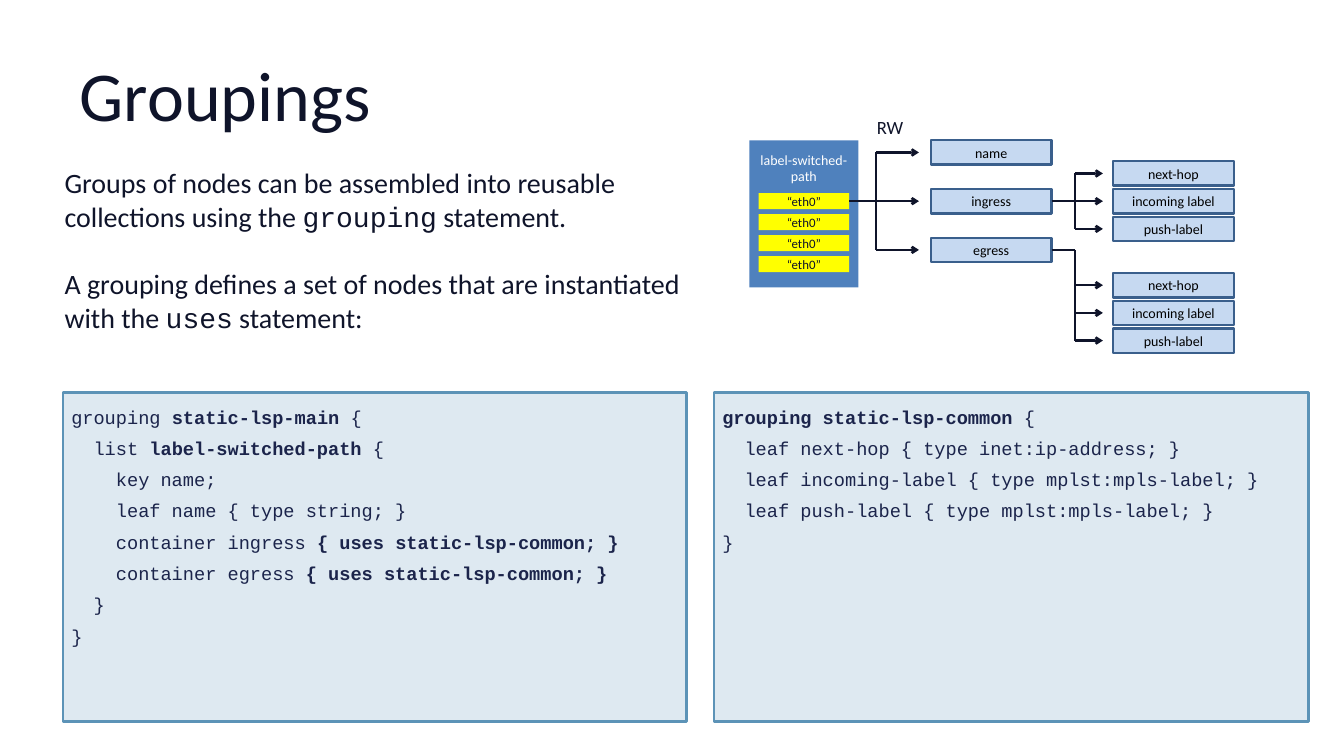
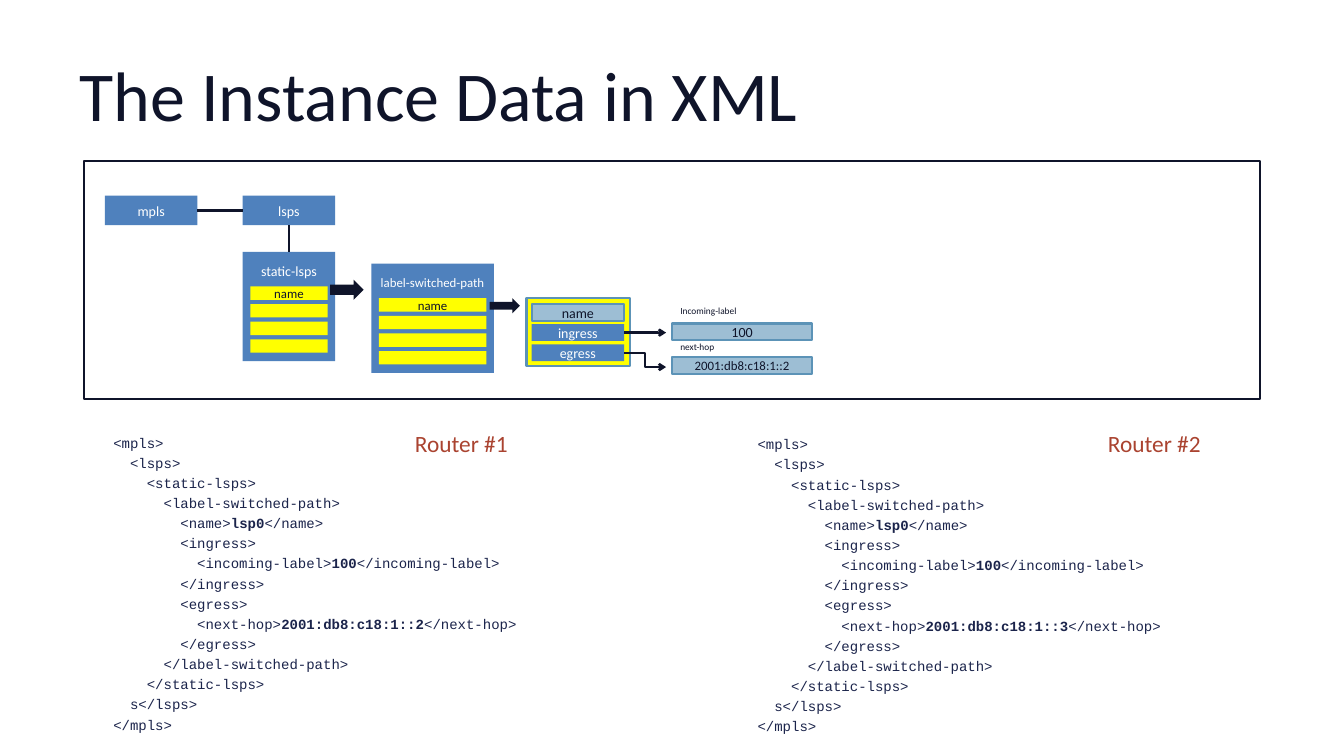
import pptx
import pptx.util
import pptx.dml.color
import pptx.enum.shapes
import pptx.enum.text
import pptx.oxml
import pptx.oxml.ns

Inches = pptx.util.Inches
SHAPE = pptx.enum.shapes.MSO_SHAPE
CONNECTOR = pptx.enum.shapes.MSO_CONNECTOR
ALIGN = pptx.enum.text.PP_ALIGN
ANCHOR = pptx.enum.text.MSO_ANCHOR

INK = "0F142A"
CODE_INK = "1B244B"
WHITE = "FFFFFF"
BLACK = "000000"
BLUE = "4F81BD"
YELLOW = "FFFF00"
PALE_BLUE = "C6D9F1"
LEAF_EDGE = "3A5F8C"
CODE_FILL = "DEE9F1"
FIELD_FILL = "9DBED4"
FIELD_EDGE = "5C93B7"
ROUTER_RED = "AA4330"
SANS = "Calibri"
MONO = "Courier New"

MAIN_GROUPING = """grouping *static-lsp-main *{
  list *label-switched-path *{
    key name;
    leaf name { type string; }
    container ingress *{ uses static-lsp-common; }*
    container egress *{ uses static-lsp-common; }*
  }
}"""

COMMON_GROUPING = """*grouping static-lsp-common *{
  leaf next-hop { type inet:ip-address; }
  leaf incoming-label { type mplst:mpls-label; }
  leaf push-label { type mplst:mpls-label; }
}"""

INSTANCE_XML = """<mpls>
  <lsps>
    <static-lsps>
      <label-switched-path>
        <name>*lsp0*</name>
        <ingress>
          <incoming-label>*100*</incoming-label>
        </ingress>
        <egress>
          <next-hop>*{next_hop}*</next-hop>
        </egress>
      </label-switched-path>
    </static-lsps>
  s</lsps>
</mpls>"""

INTRO = (
    "Groups of nodes can be assembled into reusable collections using the "
    "*grouping* statement.\n"
    "A grouping defines a set of nodes that are instantiated with the "
    "*uses* statement:"
)


def rgb(value):
    return pptx.dml.color.RGBColor.from_string(value)


def write_text(frame, text, size, color, font=SANS, marked_font=None, align=ALIGN.LEFT,
               anchor=ANCHOR.TOP, spacing=None, gap=0, margins=(0.1, 0.05), wrap=True):
    frame.word_wrap = wrap
    frame.auto_size = pptx.enum.text.MSO_AUTO_SIZE.NONE
    frame.vertical_anchor = anchor
    frame.margin_left = frame.margin_right = Inches(margins[0])
    frame.margin_top = frame.margin_bottom = Inches(margins[1])
    for index, line_text in enumerate(text.split("\n")):
        paragraph = frame.add_paragraph() if index else frame.paragraphs[0]
        paragraph.alignment = align
        if spacing:
            paragraph.line_spacing = spacing
        if index and gap:
            paragraph.space_before = pptx.util.Pt(gap)
        for part, piece in enumerate(line_text.split("*")):
            if not piece:
                continue
            marked = part % 2 == 1
            run = paragraph.add_run()
            run.text = piece
            run.font.size = pptx.util.Pt(size)
            run.font.color.rgb = rgb(color)
            run.font.name = marked_font if marked and marked_font else font
            run.font.bold = marked and not marked_font


def add_label(slide, box, text, size, color=INK, **style):
    label = slide.shapes.add_textbox(*map(Inches, box))
    write_text(label.text_frame, text, size, color, **style)


def add_block(slide, box, fill, edge=None, edge_width=2, kind=SHAPE.RECTANGLE):
    block = slide.shapes.add_shape(kind, *map(Inches, box))
    block.shadow.inherit = False
    block.fill.solid()
    block.fill.fore_color.rgb = rgb(fill)
    if edge:
        block.line.color.rgb = rgb(edge)
        block.line.width = pptx.util.Pt(edge_width)
    else:
        block.line.fill.background()
    return block


def add_cell(slide, box, text, fill, edge=None, size=12, color=INK):
    cell = add_block(slide, box, fill, edge)
    if text:
        write_text(cell.text_frame, text, size, color, align=ALIGN.CENTER,
                   anchor=ANCHOR.MIDDLE, margins=(0, 0))
    return cell


def add_line(slide, start, end, arrow=False, kind=CONNECTOR.STRAIGHT):
    link = slide.shapes.add_connector(kind, *map(Inches, (*start, *end)))
    link.line.color.rgb = rgb(INK)
    link.line.width = pptx.util.Pt(2)
    if arrow:
        link.line._get_or_add_ln().append(pptx.oxml.parse_xml(
            f'<a:tailEnd {pptx.oxml.ns.nsdecls("a")} type="arrow"/>'))
    link._element.spPr.append(pptx.oxml.parse_xml(
        f'<a:effectLst {pptx.oxml.ns.nsdecls("a")}/>'))
    return link


def middle(shape):
    return pptx.util.Emu(shape.top + shape.height // 2).inches


def right_edge(shape):
    return pptx.util.Emu(shape.left + shape.width).inches


def add_fork(slide, source, trunk, tip, leaves):
    source_y = middle(source)
    branch_ys = [middle(leaf) for leaf in leaves]
    stem = add_line(slide, (right_edge(source), source_y), (trunk, source_y))
    stem.begin_connect(source, 3)
    add_line(slide, (trunk, min(source_y, *branch_ys)), (trunk, max(source_y, *branch_ys)))
    for y in branch_ys:
        add_line(slide, (trunk, y), (tip, y), arrow=True)


def add_list_panel(slide, box, heading, heading_size, entries, inset, first, pitch, depth):
    left, top, width, height = box
    panel = add_block(slide, box, BLUE)
    write_text(panel.text_frame, heading, heading_size, WHITE, align=ALIGN.CENTER,
               margins=(0, 0.13))
    slots = [
        add_cell(slide, (left + inset, top + first + row * pitch, width - 2 * inset, depth),
                 entry, YELLOW, size=11)
        for row, entry in enumerate(entries)
    ]
    return panel, slots


def add_leaves(slide, left, top, pitch, names):
    return [
        add_cell(slide, (left, top + row * pitch, 1.44, 0.29), name, PALE_BLUE, LEAF_EDGE,
                 color=BLACK)
        for row, name in enumerate(names)
    ]


def add_code_box(slide, box, code):
    panel = add_block(slide, box, CODE_FILL, FIELD_EDGE, 2.25)
    write_text(panel.text_frame, code, 16, CODE_INK, font=MONO, spacing=1.4)


def add_schema_tree(slide, left, top):
    _, slots = add_list_panel(slide, (left, top, 1.3, 1.75), "label-switched-\npath", 12,
                              ["“eth0”"] * 4, 0.11, 0.63, 0.25, 0.19)
    add_label(slide, (left + 1.42, top - 0.34, 0.52, 0.37), "RW", 16, wrap=False)
    members = add_leaves(slide, left + 2.16, top, 0.58, ["name", "ingress", "egress"])
    add_fork(slide, slots[0], left + 1.51, left + 2.02, members)
    for container, drop in zip(members[1:], (0.25, 1.58)):
        leaves = add_leaves(slide, left + 4.33, top + drop, 0.33,
                            ["next-hop", "incoming label", "push-label"])
        add_fork(slide, container, left + 3.88, left + 4.21, leaves)


def add_instance_tree(slide, left, top, width, height):
    add_block(slide, (left, top, width, height), WHITE, INK)
    mpls, lsps = [
        add_cell(slide, (left + x, top + 0.41, 1.1, 0.35), name, BLUE, color=WHITE)
        for x, name in ((0.25, "mpls"), (1.89, "lsps"))
    ]
    panels = [
        add_list_panel(slide, (left + x, top + y, panel_width, 1.3), heading, size,
                       ["name", "", "", ""], 0.09, 0.41, 0.21, 0.16)[0]
        for x, y, panel_width, heading, size in (
            (1.89, 1.08, 1.1, "static-lsps", 12),
            (3.42, 1.22, 1.46, "label-switched-path", 11),
        )
    ]
    for start, start_site, end, end_site in ((mpls, 3, lsps, 1), (lsps, 2, panels[0], 0)):
        link = add_line(slide, (left, top), (left, top))
        link.begin_connect(start, start_site)
        link.end_connect(end, end_site)
    for x, y, arrow_width, depth in ((2.93, 1.41, 0.4, 0.24), (4.83, 1.63, 0.36, 0.18)):
        add_block(slide, (left + x, top + y, arrow_width, depth), INK, kind=SHAPE.RIGHT_ARROW)

    add_block(slide, (left + 5.27, top + 1.63, 1.23, 0.81), YELLOW, FIELD_EDGE)
    _, ingress, egress = [
        add_cell(slide, (left + 5.33, top + 1.7 + row * 0.24, 1.1, 0.2), name, fill, edge,
                 color=color)
        for row, (name, fill, edge, color) in enumerate((
            ("name", FIELD_FILL, FIELD_EDGE, INK),
            ("ingress", BLUE, None, WHITE),
            ("egress", BLUE, None, WHITE),
        ))
    ]
    for caption, caption_y, value, value_y, size in (
        ("Incoming-label", 1.66, "100", 1.93, 12),
        ("next-hop", 2.09, "2001:db8:c18:1::2", 2.33, 11),
    ):
        add_label(slide, (left + 7, top + caption_y, 0.88, 0.24), caption, 8, wrap=False)
        add_cell(slide, (left + 7, top + value_y, 1.67, 0.2), value, FIELD_FILL, FIELD_EDGE, size)
    ingress_y = middle(ingress)
    ingress_link = add_line(slide, (right_edge(ingress), ingress_y), (left + 6.93, ingress_y),
                            arrow=True)
    ingress_link.begin_connect(ingress, 3)
    add_line(slide, (right_edge(egress), middle(egress)), (left + 6.93, top + 2.45),
             arrow=True, kind=CONNECTOR.ELBOW)


def add_router(slide, left, top, name, name_box, next_hop):
    add_label(slide, (left, top, 5.75, 3.73), INSTANCE_XML.format(next_hop=next_hop), 12,
              CODE_INK, font=MONO, spacing=1.2)
    add_label(slide, name_box, name, 20, ROUTER_RED, wrap=False)


def add_titled_slide(deck, heading):
    slide = deck.slides.add_slide(deck.slide_layouts[5])
    title = slide.shapes.title
    title.left, title.top, title.width, title.height = map(Inches, (0.8, 0.36, 14.4, 1.5))
    write_text(title.text_frame, heading, 60, INK, anchor=ANCHOR.MIDDLE, margins=(0.15, 0.08))
    return slide


def build_groupings(deck):
    slide = add_titled_slide(deck, "Groupings")
    add_label(slide, (0.67, 1.92, 7.67, 2.52), INTRO, 24, marked_font=MONO, gap=29)
    add_schema_tree(slide, 8.92, 1.67)
    add_code_box(slide, (0.75, 4.67, 7.42, 3.92), MAIN_GROUPING)
    add_code_box(slide, (8.5, 4.67, 7.08, 3.92), COMMON_GROUPING)


def build_instance_data(deck):
    slide = add_titled_slide(deck, "The Instance Data in XML")
    add_instance_tree(slide, 1, 1.92, 14, 2.83)
    add_router(slide, 1.25, 5.08, "Router #1", (4.84, 5.06, 1.33, 0.44), "2001:db8:c18:1::2")
    add_router(slide, 8.92, 5.1, "Router #2", (13.09, 5.06, 1.33, 0.44), "2001:db8:c18:1::3")


def main():
    deck = pptx.Presentation()
    deck.slide_width, deck.slide_height = Inches(16), Inches(9)
    build_groupings(deck)
    build_instance_data(deck)
    deck.save("out.pptx")


if __name__ == "__main__":
    main()
